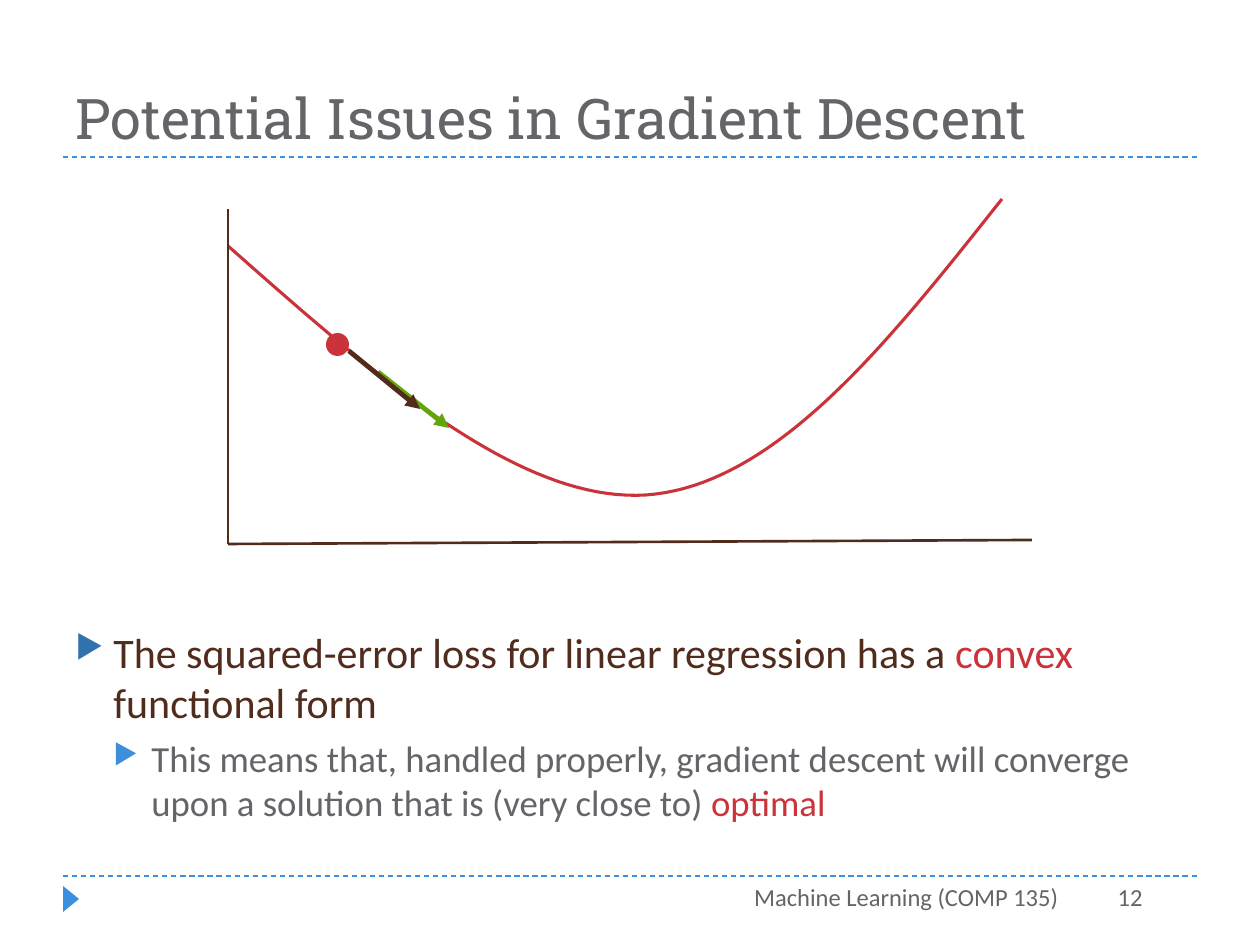
"""Build the slide on potential issues in gradient descent."""
from dataclasses import dataclass

from lxml import etree
from pptx import Presentation
from pptx import util as u
from pptx.dml.color import RGBColor
from pptx.enum import dml, shapes, text
from pptx.oxml.ns import qn

PX = 914400 / 126
BODY_FONT, TITLE_FONT = "Calibri", "Roboto Slab"
RED, BROWN, GRAY = "CB333B", "512C1D", "646469"
BLUE, DARK_BLUE, GREEN = "3E8EDE", "3071AE", "61A60A"


@dataclass(frozen=True)
class Line:
    """A straight line between two points in px."""
    start: tuple[int, int]
    end: tuple[int, int]
    color: str
    width: float
    dashed: bool = False
    arrow: bool = False


@dataclass(frozen=True)
class Bullet:
    """A bulleted paragraph made of coloured runs."""
    runs: tuple[tuple[str, str], ...]
    size: int
    margin: int
    color: str
    before: int = 0


RULES = (
    Line((63, 876), (1197, 876), BLUE, 0.75, dashed=True),
    Line((63, 157), (1197, 157), BLUE, 0.75, dashed=True),
)
STEP_BEYOND = Line((378, 372), (449, 428), GREEN, 2.75, arrow=True)
AXES_AND_STEP = (
    Line((228, 209), (228, 544), BROWN, 1.5),
    Line((228, 544), (1032, 540), BROWN, 1.5),
    Line((349, 351), (420, 409), BROWN, 2.75, arrow=True),
)
LOSS_CURVE = (
    ((228, 246), (373, 374), (518, 503), (646, 495)),
    ((646, 495), (775, 486), (888, 343), (1002, 199)),
)
BULLETS = (
    Bullet((("The squared-error loss for linear regression has a ", BROWN),
            ("convex", RED), (" functional form", BROWN)), 24, 38, DARK_BLUE),
    Bullet((("This means that, handled properly, gradient descent will converge "
             "upon a solution that is (very close to) ", GRAY),
            ("optimal", RED)), 21, 76, BLUE, before=5),
)
FOOTERS = (
    ("Machine Learning (COMP 135)", (483, 876, 588, 50)),
    ("12", (1018, 876, 137, 50)),
)


def px(*lengths: int) -> list[int]:
    """Turn px lengths into EMU."""
    return [round(n * PX) for n in lengths]


def rgb(color: str) -> RGBColor:
    """Turn a hex string into a colour."""
    return RGBColor.from_string(color)


def style_run(r, size: int, color: str, font: str = BODY_FONT) -> None:
    """Set the size, colour and typeface of a run."""
    r.font.size = u.Pt(size)
    r.font.name = font
    r.font.color.rgb = rgb(color)


def draw_line(s, line: Line) -> None:
    """Draw a connector, dashed or with an arrowhead if asked."""
    sp = s.shapes.add_connector(
        shapes.MSO_CONNECTOR.STRAIGHT, *px(*line.start, *line.end))
    sp.line.color.rgb = rgb(line.color)
    sp.line.width = u.Pt(line.width)
    if line.dashed:
        sp.line.dash_style = dml.MSO_LINE.DASH
    if line.arrow:
        etree.SubElement(sp.line._get_or_add_ln(), qn("a:tailEnd"), type="triangle")
    etree.SubElement(sp._element.spPr, qn("a:effectLst"))


def draw_solid(s, kind, box: tuple[int, ...], color: str, rotation: int = 0) -> None:
    """Draw a filled preset shape without an outline."""
    sp = s.shapes.add_shape(kind, *px(*box))
    sp.shadow.inherit = False
    sp.fill.solid()
    sp.fill.fore_color.rgb = rgb(color)
    sp.line.fill.background()
    sp.rotation = rotation


def bezier(curve: tuple[tuple[int, int], ...], t: float) -> tuple[float, float]:
    """Return the point at t on a cubic curve."""
    weights = ((1 - t) ** 3, 3 * t * (1 - t) ** 2, 3 * t * t * (1 - t), t ** 3)
    x, y = (sum(w * c for w, c in zip(weights, axis)) for axis in zip(*curve))
    return x, y


def draw_curve(s, curves, color: str, width: float, steps: int = 40) -> None:
    """Draw joined cubic curves as one open outline."""
    points = [bezier(c, i / steps) for c in curves for i in range(1, steps + 1)]
    builder = s.shapes.build_freeform(*px(*curves[0][0]), scale=1.0)
    builder.add_line_segments([px(*point) for point in points], close=False)
    sp = builder.convert_to_shape()
    sp.shadow.inherit = False
    sp.fill.background()
    sp.line.color.rgb = rgb(color)
    sp.line.width = u.Pt(width)


def add_bullet(p, bullet: Bullet) -> None:
    """Fill a paragraph with a triangle bullet and its runs."""
    pPr = p._p.get_or_add_pPr()
    margin, indent = px(bullet.margin, -38)
    pPr.set("marL", str(margin))
    pPr.set("indent", str(indent))
    tint = etree.SubElement(pPr, qn("a:buClr"))
    etree.SubElement(tint, qn("a:srgbClr"), val=bullet.color)
    etree.SubElement(pPr, qn("a:buSzPct"), val="76000")
    etree.SubElement(pPr, qn("a:buChar"), char="▶")
    p.space_before = u.Pt(bullet.before)
    for words, color in bullet.runs:
        r = p.add_run()
        r.text = words
        style_run(r, bullet.size, color)


def add_box(s, box: tuple[int, ...]):
    """Add a wrapping text box and return its text frame."""
    tf = s.shapes.add_textbox(*px(*box)).text_frame
    tf.word_wrap = True
    return tf


def set_title(s, words: str) -> None:
    """Place and format the title placeholder."""
    sp = s.shapes.title
    sp.left, sp.top, sp.width, sp.height = px(63, 21, 1134, 136)
    tf = sp.text_frame
    tf.text = words
    tf.auto_size = text.MSO_AUTO_SIZE.NONE
    tf.vertical_anchor = text.MSO_ANCHOR.BOTTOM
    p = tf.paragraphs[0]
    p.alignment = text.PP_ALIGN.LEFT
    style_run(p.runs[0], 32, GRAY, TITLE_FONT)


def main() -> None:
    """Build and save the slide."""
    prs = Presentation()
    prs.slide_width, prs.slide_height = px(1260, 945)
    s = prs.slides.add_slide(prs.slide_layouts.get_by_name("Title Only"))

    for rule in RULES:
        draw_line(s, rule)
    draw_solid(s, shapes.MSO_SHAPE.ISOSCELES_TRIANGLE, (58, 891, 26, 16), BLUE, 90)
    set_title(s, "Potential Issues in Gradient Descent")

    tf = add_box(s, (63, 620, 1144, 234))
    for i, bullet in enumerate(BULLETS):
        add_bullet(tf.add_paragraph() if i else tf.paragraphs[0], bullet)
    for words, box in FOOTERS:
        tf = add_box(s, box)
        tf.text = words
        p = tf.paragraphs[0]
        p.alignment = text.PP_ALIGN.RIGHT
        style_run(p.runs[0], 14, GRAY)

    draw_curve(s, LOSS_CURVE, RED, 1.75)
    draw_line(s, STEP_BEYOND)
    draw_solid(s, shapes.MSO_SHAPE.OVAL, (326, 333, 23, 23), RED)
    for line in AXES_AND_STEP:
        draw_line(s, line)
    prs.save("out.pptx")


if __name__ == "__main__":
    main()
